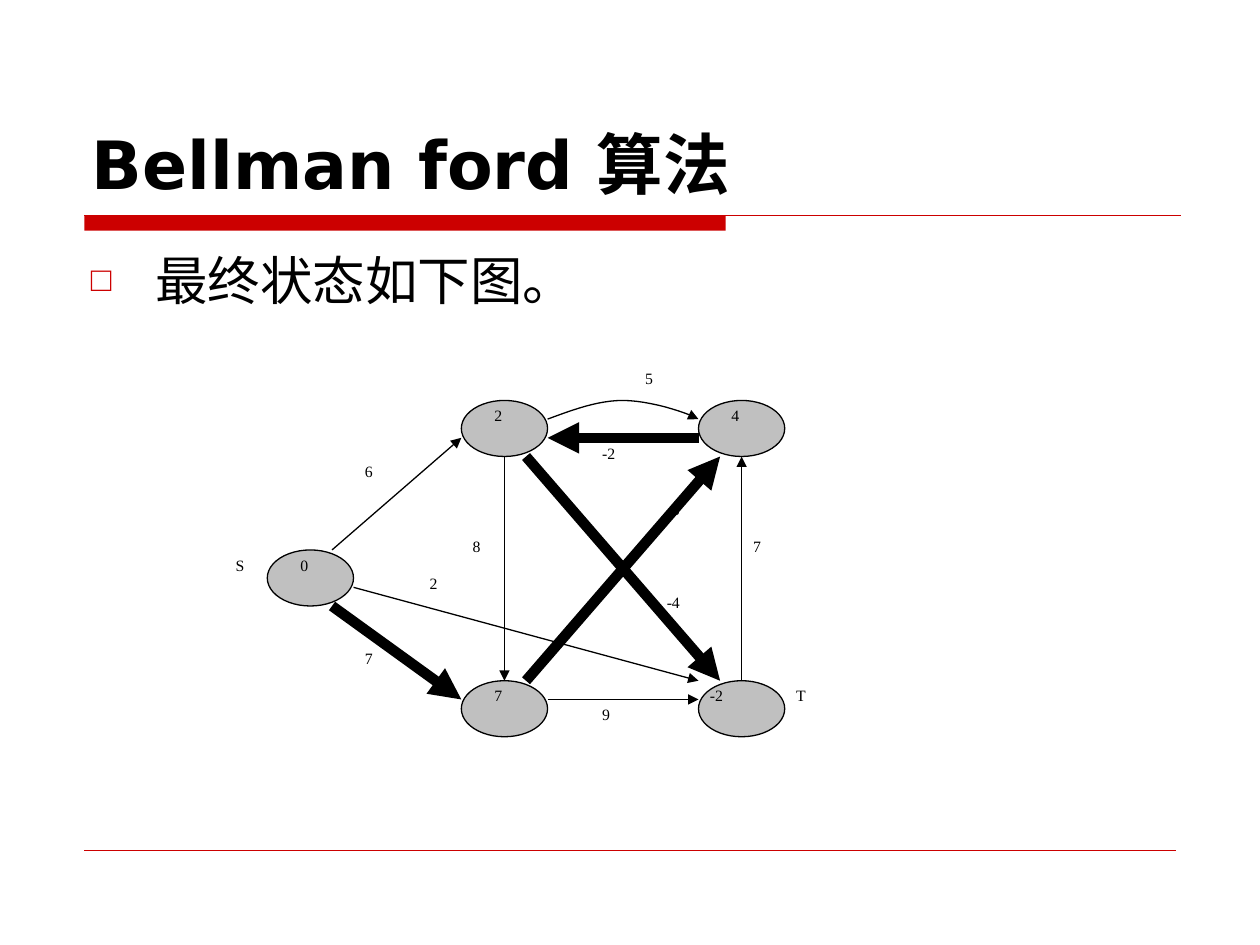
from dataclasses import dataclass
from typing import NamedTuple

from lxml.etree import SubElement
from pptx import Presentation
from pptx.dml.color import RGBColor
from pptx.enum.shapes import MSO_CONNECTOR, MSO_SHAPE
from pptx.enum.text import MSO_ANCHOR, MSO_AUTO_SIZE, PP_ALIGN
from pptx.oxml.ns import qn
from pptx.util import Cm, Pt


@dataclass(frozen=True)
class Theme:
    accent: RGBColor = RGBColor(0xCC, 0x00, 0x00)
    ink: RGBColor = RGBColor(0x00, 0x00, 0x00)
    node: RGBColor = RGBColor(0xC0, 0xC0, 0xC0)
    heading_font: str = "DejaVu Sans"
    label_font: str = "Times New Roman"
    title_size: float = 38
    body_size: float = 30
    label_size: float = 9
    hairline: float = 0.25
    thin: float = 0.75
    thick: float = 6


class Cell(NamedTuple):
    column: float
    row: float


class Edge(NamedTuple):
    start: Cell
    end: Cell
    on_path: bool = False


class Label(NamedTuple):
    text: str
    at: Cell
    columns: int = 3
    rows: int = 4


THEME = Theme()
GRAPH_LEFT, GRAPH_TOP = 4.52, 7.32
COLUMN, ROW = 11.3 / 26, 6.78 / 18
NODE_COLUMNS, NODE_ROWS = 4, 3

NODES = [Cell(2, 10), Cell(11, 2), Cell(11, 17), Cell(22, 17), Cell(22, 2)]
EDGES = [
    Edge(Cell(5, 10), Cell(11, 4)),
    Edge(Cell(5, 13), Cell(11, 18), True),
    Edge(Cell(13, 5), Cell(13, 17)),
    Edge(Cell(14, 17), Cell(23, 5), True),
    Edge(Cell(15, 18), Cell(22, 18)),
    Edge(Cell(24, 17), Cell(24, 5)),
    Edge(Cell(14, 5), Cell(23, 17), True),
    Edge(Cell(6, 12), Cell(22, 17)),
    Edge(Cell(22, 4), Cell(15, 4), True),
]
ARC = [
    [Cell(15, 3), Cell(16.17, 2.5), Cell(17.33, 2), Cell(18.5, 2)],
    [Cell(18.5, 2), Cell(19.67, 2), Cell(21.4, 2.6), Cell(22, 3)],
]
LABELS = [
    Label("2", Cell(12, 2), 5),
    Label("4", Cell(23, 2), 6),
    Label("7", Cell(12, 17), 6),
    Label("-2", Cell(22, 17), 6),
    Label("0", Cell(3, 10)),
    Label("6", Cell(6, 5)),
    Label("7", Cell(6, 15)),
    Label("8", Cell(11, 9)),
    Label("5", Cell(19, 0), 3, 3),
    Label("-2", Cell(17, 4)),
    Label("-4", Cell(20, 12)),
    Label("-3", Cell(20, 7)),
    Label("7", Cell(24, 9)),
    Label("9", Cell(17, 18)),
    Label("2", Cell(9, 11)),
    Label("S", Cell(0, 10)),
    Label("T", Cell(26, 17)),
]


def apply(target, formats: dict) -> None:
    for attribute, value in formats.items():
        setattr(target, attribute, value)


def place(cell: Cell) -> tuple[Cm, Cm]:
    return Cm(GRAPH_LEFT + cell.column * COLUMN), Cm(GRAPH_TOP + cell.row * ROW)


def style_line(line, color: RGBColor, width: float, arrow: bool = False) -> None:
    line.color.rgb = color
    line.width = Pt(width)
    if arrow:
        SubElement(line._get_or_add_ln(), qn("a:tailEnd"), type="triangle")


def style_font(font, name: str, size: float, bold: bool = False) -> None:
    apply(font, {"name": name, "size": Pt(size), "bold": bold})
    font.color.rgb = THEME.ink


def draw_line(slide, start, end, color: RGBColor, width: float, arrow: bool = False) -> None:
    connector = slide.shapes.add_connector(MSO_CONNECTOR.STRAIGHT, *start, *end)
    style_line(connector.line, color, width, arrow)
    SubElement(connector._element.spPr, qn("a:effectLst"))


def draw_node(slide, cell: Cell) -> None:
    node = slide.shapes.add_shape(
        MSO_SHAPE.OVAL, *place(cell), Cm(NODE_COLUMNS * COLUMN), Cm(NODE_ROWS * ROW)
    )
    node.shadow.inherit = False
    node.fill.solid()
    node.fill.fore_color.rgb = THEME.node
    style_line(node.line, THEME.ink, THEME.thin)


def draw_arc(slide, curves: list[list[Cell]], steps: int = 12) -> None:
    points = []
    for a, b, c, d in curves:
        for step in range(1, steps + 1):
            t = step / steps
            weights = ((1 - t) ** 3, 3 * t * (1 - t) ** 2, 3 * t * t * (1 - t), t**3)
            points.append(place(Cell(*(
                sum(weight * value for weight, value in zip(weights, axis))
                for axis in zip(a, b, c, d)
            ))))
    builder = slide.shapes.build_freeform(*place(curves[0][0]))
    builder.add_line_segments(points, close=False)
    arc = builder.convert_to_shape()
    arc.shadow.inherit = False
    arc.fill.background()
    style_line(arc.line, THEME.ink, THEME.thin, arrow=True)


def draw_label(slide, label: Label) -> None:
    box = slide.shapes.add_textbox(
        *place(label.at), Cm(label.columns * COLUMN), Cm(label.rows * ROW)
    )
    apply(box.text_frame, {
        "word_wrap": True,
        "margin_left": Cm(0.23), "margin_right": Cm(0.23),
        "margin_top": Cm(0.11), "margin_bottom": Cm(0.11),
    })
    paragraph = box.text_frame.paragraphs[0]
    apply(paragraph, {"text": label.text, "alignment": PP_ALIGN.JUSTIFY})
    style_font(paragraph.runs[0].font, THEME.label_font, THEME.label_size)


def fill_placeholder(placeholder, text: str, bounds: dict, anchor: MSO_ANCHOR):
    apply(placeholder, bounds)
    apply(placeholder.text_frame, {
        "text": text, "vertical_anchor": anchor,
        "word_wrap": True, "auto_size": MSO_AUTO_SIZE.NONE,
    })
    paragraph = placeholder.text_frame.paragraphs[0]
    apply(paragraph, {"alignment": PP_ALIGN.LEFT, "space_before": Pt(0)})
    return paragraph


def add_bullet(paragraph) -> None:
    properties = paragraph._p.get_or_add_pPr()
    properties.set("marL", str(Cm(1.3)))
    properties.set("indent", str(-Cm(1.3)))
    bullet_color = SubElement(properties, qn("a:buClr"))
    SubElement(bullet_color, qn("a:srgbClr"), val=str(THEME.accent))
    SubElement(properties, qn("a:buSzPct"), val="65000")
    SubElement(properties, qn("a:buChar"), char="□")


def draw_rules(slide) -> None:
    bar = slide.shapes.add_shape(MSO_SHAPE.RECTANGLE, Cm(1.7), Cm(4.34), Cm(12.93), Cm(0.31))
    bar.shadow.inherit = False
    bar.fill.solid()
    bar.fill.fore_color.rgb = THEME.accent
    bar.line.fill.background()
    for y, right, width in ((4.34, 23.8, THEME.thin), (17.14, 23.7, THEME.hairline)):
        draw_line(slide, (Cm(1.7), Cm(y)), (Cm(right), Cm(y)), THEME.accent, width)


def main() -> None:
    presentation = Presentation()
    apply(presentation, {"slide_width": Cm(25.4), "slide_height": Cm(19.05)})
    slide = presentation.slides.add_slide(presentation.slide_layouts[1])
    draw_rules(slide)

    title = fill_placeholder(slide.shapes.title, "Bellman ford 算法", {
        "left": Cm(1.6), "top": Cm(0.84), "width": Cm(22.22), "height": Cm(3.38),
    }, MSO_ANCHOR.BOTTOM)
    style_font(title.font, THEME.heading_font, THEME.title_size, bold=True)

    statement = fill_placeholder(slide.placeholders[1], "最终状态如下图。", {
        "left": Cm(1.58), "top": Cm(4.88), "width": Cm(22.22), "height": Cm(11.86),
    }, MSO_ANCHOR.TOP)
    add_bullet(statement)
    style_font(statement.font, THEME.heading_font, THEME.body_size)

    for node in NODES:
        draw_node(slide, node)
    for edge in EDGES:
        width = THEME.thick if edge.on_path else THEME.thin
        draw_line(slide, place(edge.start), place(edge.end), THEME.ink, width, arrow=True)
    draw_arc(slide, ARC)
    for label in LABELS:
        draw_label(slide, label)
    presentation.save("out.pptx")


if __name__ == "__main__":
    main()
